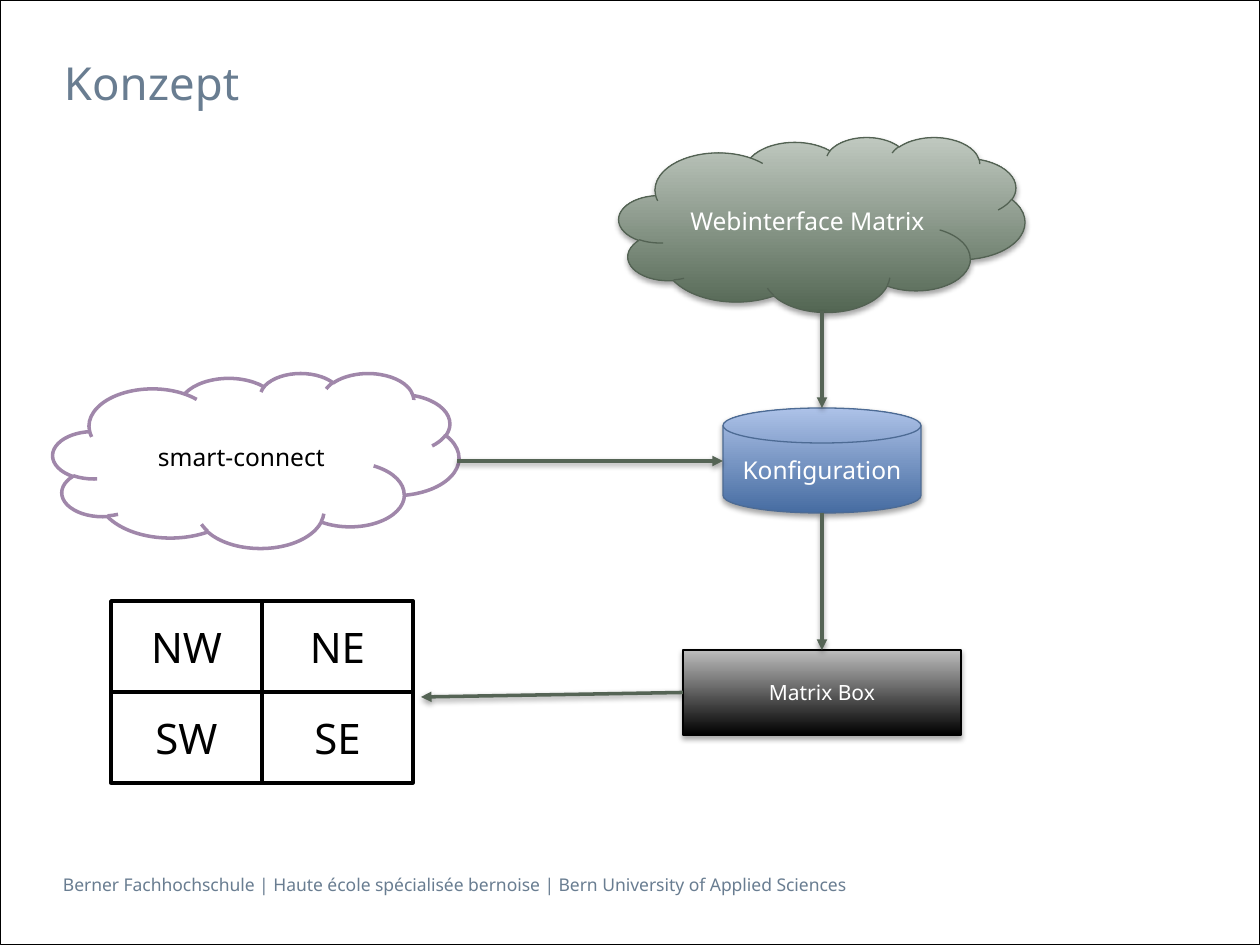
from lxml.etree import SubElement
from pptx import Presentation
from pptx.dml.color import RGBColor
from pptx.enum.shapes import MSO_CONNECTOR, MSO_SHAPE
from pptx.enum.text import MSO_ANCHOR, PP_ALIGN
from pptx.oxml.ns import qn
from pptx.util import Emu, Pt

SCALE = 914400 / 126
FONT = "Noto Sans"
COLORS = {
    "white": "FFFFFF", "black": "000000", "slate": "697D91", "plum": "A087AA",
    "moss": "536653", "mist": "C0C9C0", "rim": "536253", "arrow": "556455",
    "navy": "466CA1", "sky": "ADC2E8", "steel": "4D6B94", "silver": "BDBDBD",
}


def px(*sizes):
    return [Emu(round(size * SCALE)) for size in sizes]


def rgb(name):
    return RGBColor.from_string(COLORS[name])


def write(frame, text, size, color):
    frame.text = text
    frame.word_wrap = True
    font = frame.paragraphs[0].runs[0].font
    font.name, font.size = FONT, Pt(size)
    font.color.rgb = rgb(color)


def add_label(slide, box, text, size):
    frame = slide.shapes.add_textbox(*px(*box)).text_frame
    frame.margin_left = frame.margin_right = 0
    write(frame, text, size, "slate")


def add_shadow(effects, dist, alpha):
    shadow = SubElement(effects, qn("a:outerShdw"), blurRad="40000", dist=str(dist),
                        dir="5400000", rotWithShape="0")
    color = SubElement(shadow, qn("a:srgbClr"), val=COLORS["black"])
    SubElement(color, qn("a:alpha"), val=str(alpha * 1000))


def add_shape(slide, kind, box, line, width):
    shape = slide.shapes.add_shape(kind, *px(*box))
    shape.shadow.inherit = False
    shape.fill.background()
    shape.line.color.rgb = rgb(line)
    shape.line.width = Pt(width)
    return shape


def add_node(slide, kind, box, text, size, ink, line, width, fill):
    shape = add_shape(slide, kind, box, line, width)
    if len(fill) == 1:
        shape.fill.solid()
        shape.fill.fore_color.rgb = rgb(fill[0])
    else:
        shape.fill.gradient()
        shape.fill.gradient_angle = 90
        for stop, color in zip(shape.fill.gradient_stops, fill):
            stop.color.rgb = rgb(color)
        add_shadow(shape.element.spPr.find(qn("a:effectLst")), 23000, 35)
    frame = shape.text_frame
    write(frame, text, size, ink)
    frame.vertical_anchor = MSO_ANCHOR.MIDDLE
    frame.paragraphs[0].alignment = PP_ALIGN.CENTER
    return shape


def add_arrow(slide, start, end):
    arrow = slide.shapes.add_connector(MSO_CONNECTOR.STRAIGHT, *px(*start, *end))
    arrow.line.color.rgb = rgb("arrow")
    arrow.line.width = Pt(2)
    props = arrow.element.spPr
    SubElement(props.find(qn("a:ln")), qn("a:tailEnd"), type="triangle")
    add_shadow(SubElement(props, qn("a:effectLst")), 20000, 38)
    return arrow


def add_grid(slide, left, top, wide, high, rows):
    for row, names in enumerate(rows):
        for col, name in enumerate(names):
            box = (left + col * wide, top + row * high, wide, high)
            add_node(slide, MSO_SHAPE.RECTANGLE, box, name, 24, "black", "black", 2, ["white"])


def main():
    """Build the concept slide and save it."""
    deck = Presentation()
    deck.slide_width, deck.slide_height = px(1260, 945)
    slide = deck.slides.add_slide(deck.slide_layouts[6])

    add_label(slide, (63, 868, 921, 34),
              "Berner Fachhochschule | Haute école spécialisée bernoise | "
              "Bern University of Applied Sciences", 10)
    add_shape(slide, MSO_SHAPE.RECTANGLE, (0, 0, 1260, 945), "black", 0.5)
    add_label(slide, (64, 49, 1116, 74), "Konzept", 26)

    add_node(slide, MSO_SHAPE.CLOUD, (53, 373, 406, 175), "smart-connect",
             14, "black", "plum", 2, ["white"])
    add_node(slide, MSO_SHAPE.CLOUD, (619, 137, 406, 175), "Webinterface Matrix",
             14, "white", "rim", 0.75, ["moss", "mist"])
    add_node(slide, MSO_SHAPE.FLOWCHART_MAGNETIC_DISK, (723, 408, 198, 105), "Konfiguration",
             14, "white", "steel", 0.75, ["navy", "sky"])
    matrix = add_node(slide, MSO_SHAPE.RECTANGLE, (683, 650, 278, 85), "Matrix Box",
                      12, "white", "black", 0.75, ["black", "silver"])

    add_arrow(slide, (457, 461), (723, 461))
    add_arrow(slide, (822, 311), (822, 408))
    add_arrow(slide, (822, 513), (822, 650)).end_connect(matrix, 0)
    add_grid(slide, 111, 601, 151, 91, [("NW", "NE"), ("SW", "SE")])
    add_arrow(slide, (683, 693), (421, 697)).begin_connect(matrix, 1)
    deck.save("out.pptx")


if __name__ == "__main__":
    main()
